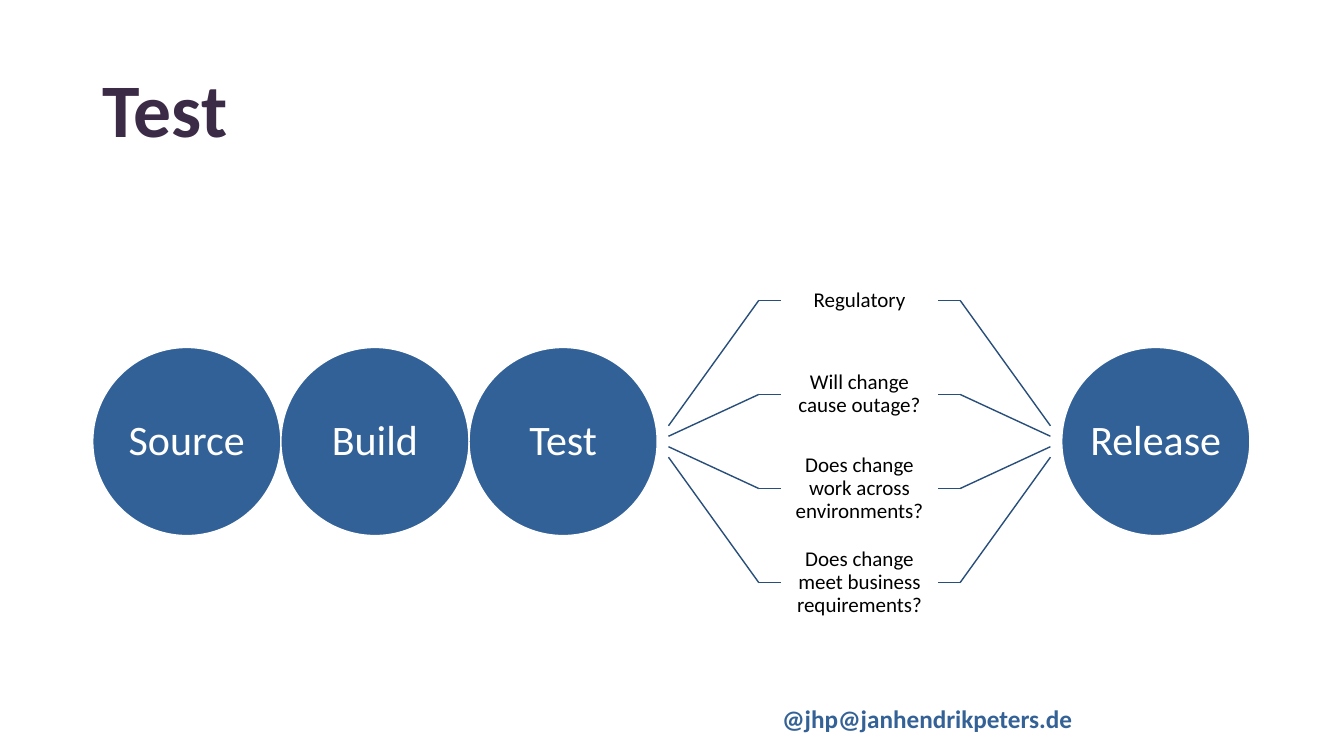
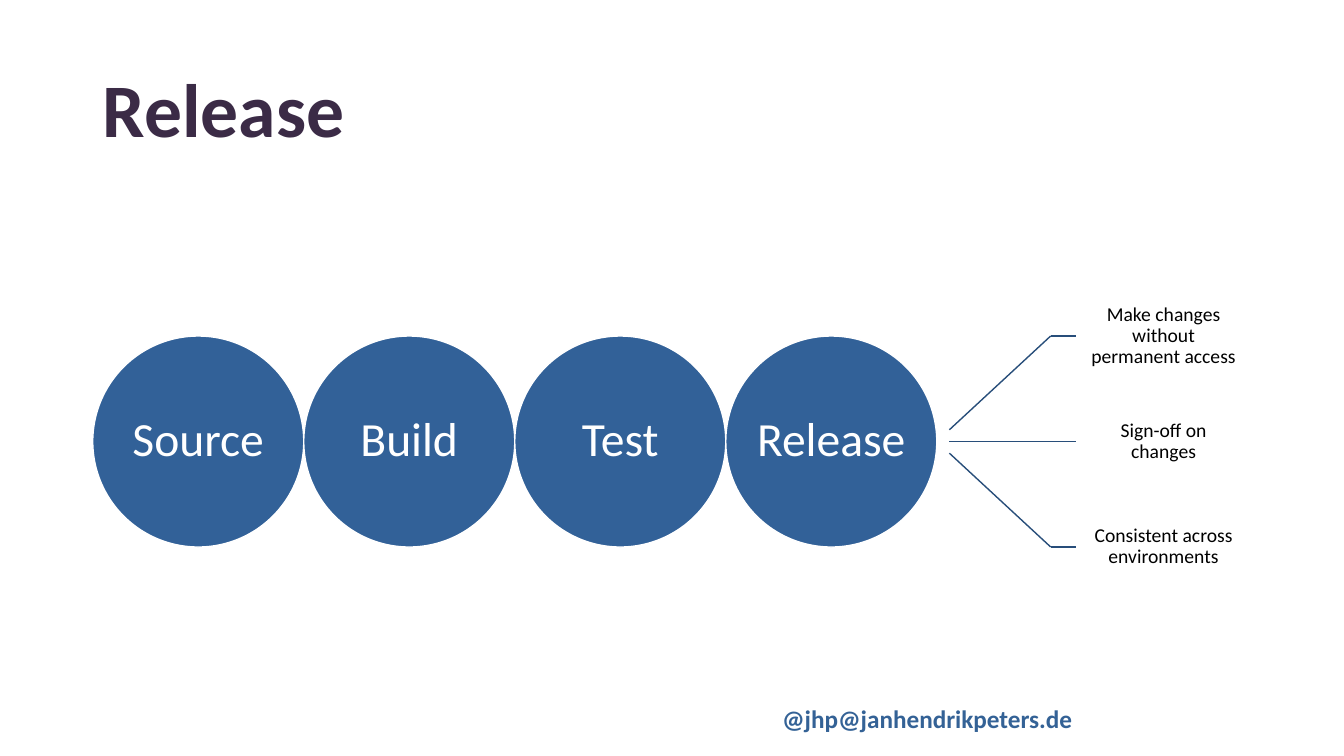
import pptx
import pptx.util
import pptx.dml.color
import pptx.enum.shapes
import pptx.enum.text
import pptx.oxml

rgb = pptx.dml.color.RGBColor.from_string
Pt = pptx.util.Pt
ALIGN = pptx.enum.text.PP_ALIGN
ANCHOR = pptx.enum.text.MSO_ANCHOR
SHAPE = pptx.enum.shapes.MSO_SHAPE

BLUE, SPOKE, WHITE, BLACK = "326198", "284E7A", "FFFFFF", "000000"
TITLE, FOOTER = "3B2B46", "346296"

prs = pptx.Presentation()
prs.slide_width = pptx.util.Inches(13.333)
prs.slide_height = pptx.util.Inches(7.5)

# Grid: 100 columns by 100 rows
col = prs.slide_width / 100
row = prs.slide_height / 100
left = 6.9 * col
middle = 58.4 * row


def write(sp, text, size, color, align=ALIGN.CENTER, anchor=ANCHOR.MIDDLE,
          bold=False, inset=None, spacing=0.9):
    tf = sp.text_frame
    tf.word_wrap = True
    tf.auto_size = pptx.enum.text.MSO_AUTO_SIZE.NONE
    tf.vertical_anchor = anchor
    if inset is not None:
        tf.margin_left = tf.margin_right = Pt(inset)
        tf.margin_top = tf.margin_bottom = Pt(inset)
    p = tf.paragraphs[0]
    p.alignment = align
    p.line_spacing = spacing
    r = p.add_run()
    r.text = text
    r.font.name = "Calibri"
    r.font.size = Pt(size)
    r.font.bold = bold
    r.font.color.rgb = rgb(color)


def connect(s, x1, y1, x2, y2):
    line = s.shapes.add_connector(
        pptx.enum.shapes.MSO_CONNECTOR.STRAIGHT,
        round(x1), round(y1), round(x2), round(y2))
    line.line.color.rgb = rgb(SPOKE)
    line.line.width = Pt(1)
    line._element.spPr.append(pptx.oxml.parse_xml(
        '<a:effectLst xmlns:a="http://schemas.openxmlformats.org/drawingml/2006/main"/>'))
    return line


# Title, circle diameter, circle text size, stages, note text size, notes, stage after notes
slides = [
    ("Test", 14 * col, 30, ["Source", "Build", "Test"], 15,
     ["Regulatory", "Will change cause outage?",
      "Does change work across environments?",
      "Does change meet business requirements?"], "Release"),
    ("Release", 15.7 * col, 34, ["Source", "Build", "Test", "Release"], 14,
     ["Make changes without permanent access", "Sign-off on changes",
      "Consistent across environments"], None),
]

# Title position shared through the layout
layout = prs.slide_layouts.get_by_name("Title Only")
title = layout.placeholders[0]
title.left, title.top = round(left), round(5.3 * row)
title.width, title.height = round(79.8 * col), round(19.3 * row)

for heading, d, size, stages, note_size, notes, last in slides:
    s = prs.slides.add_slide(layout)
    write(s.shapes.title, heading, 54, TITLE, ALIGN.LEFT, bold=True)

    # Footer
    footer = s.shapes.add_textbox(round(57.45 * col), round(92.4 * row),
                                  round(23.55 * col), round(5.3 * row))
    write(footer, "@jhp@janhendrikpeters.de", 18, FOOTER, ALIGN.LEFT,
          ANCHOR.TOP, bold=True, spacing=1)

    # Note columns, measured in circle diameters
    hub = left + len(stages) * d
    note_left = hub + 0.66 * d
    note_width = 0.83 * d
    note_right = note_left + note_width

    # Stage circles
    circles = [(stage, left + i * d) for i, stage in enumerate(stages)]
    if last:
        circles.append((last, note_right + 0.66 * d))
    for stage, x in circles:
        sp = s.shapes.add_shape(SHAPE.OVAL, round(x), round(middle - d / 2),
                                round(d), round(d))
        sp.shadow.inherit = False
        sp.fill.solid()
        sp.fill.fore_color.rgb = rgb(BLUE)
        sp.line.color.rgb = rgb(WHITE)
        sp.line.width = Pt(1)
        write(sp, stage, size, WHITE, inset=0)

    # Notes with spokes fanning out from the circles
    for i, note in enumerate(notes):
        step = i - (len(notes) - 1) / 2
        y = middle + step * d / 2
        sp = s.shapes.add_textbox(round(note_left), round(y - d / 4),
                                  round(note_width), round(d / 2))
        write(sp, note, note_size, BLACK, inset=0.6 * note_size)

        sides = [(note_left, -1, 1)]
        if last:
            sides.append((note_right, 1, 3))
        for edge, way, site in sides:
            elbow = edge + way * 0.12 * d
            connect(s, edge + way * 0.6 * d, middle + step * d / 18, elbow, y)
            connect(s, elbow, y, edge, y).end_connect(sp, site)

prs.save("out.pptx")
